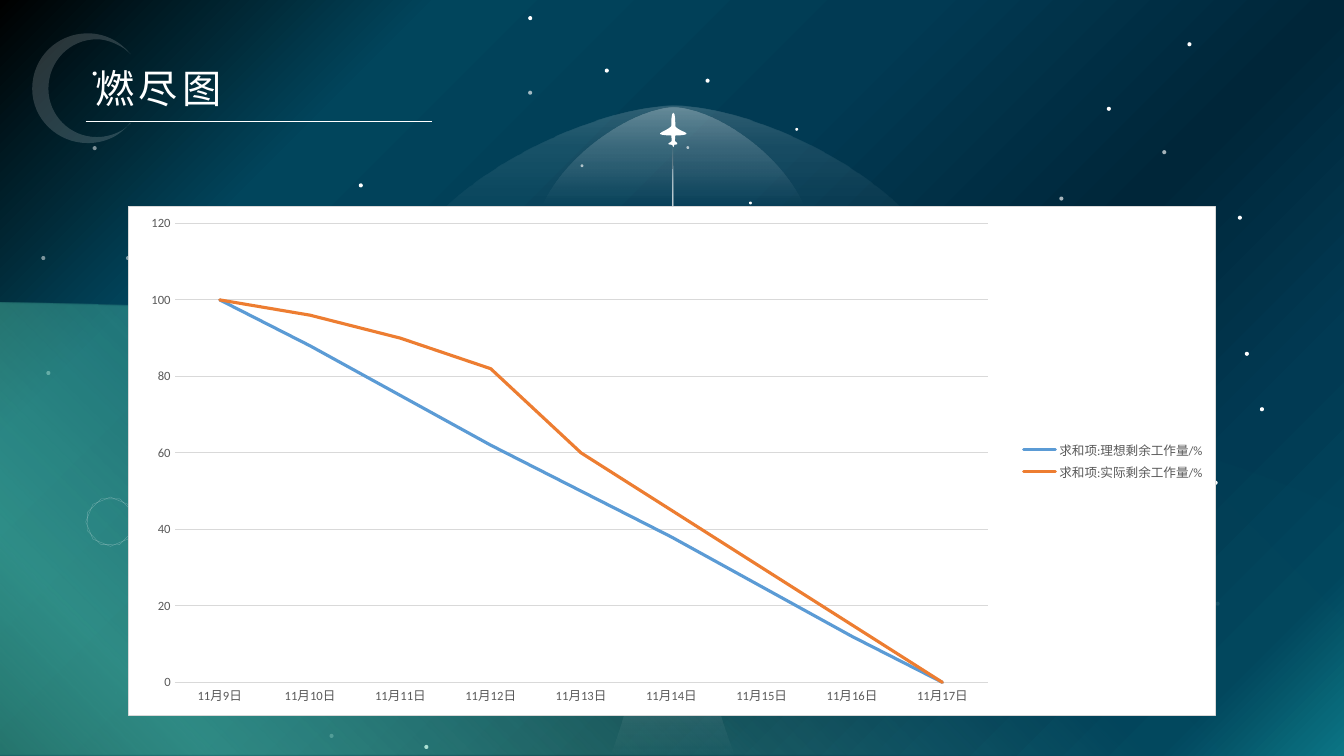
from lxml import etree
from pptx import Presentation
from pptx.chart.data import CategoryChartData
from pptx.dml.color import RGBColor
from pptx.enum.chart import XL_CHART_TYPE, XL_LEGEND_POSITION, XL_TICK_MARK
from pptx.enum.shapes import MSO_CONNECTOR, MSO_SHAPE
from pptx.oxml import parse_xml
from pptx.oxml.ns import nsdecls, qn
from pptx.util import Pt

OVAL, STAR8 = MSO_SHAPE.OVAL, MSO_SHAPE.STAR_8_POINT
STRAIGHT = MSO_CONNECTOR.STRAIGHT
LINE_CHART = XL_CHART_TYPE.LINE
RIGHT, NO_TICK = XL_LEGEND_POSITION.RIGHT, XL_TICK_MARK.NONE
WHITE, GREY, PALE = "FFFFFF", "595959", "D9D9D9"
CJK, LATIN = "Noto Sans CJK SC", "Calibri"
rgb = RGBColor.from_string


def set_gradient(fill, root, stops, direction):
    """Stops are (position %, colour, opacity %)."""
    fill.gradient()
    grad = root.find(".//" + qn("a:gradFill"))
    for child in list(grad):
        grad.remove(child)
    stop_list = etree.SubElement(grad, qn("a:gsLst"))
    for pos, colour, alpha in stops:
        gs = etree.SubElement(stop_list, qn("a:gs"), pos=str(pos * 1000))
        clr = etree.SubElement(gs, qn("a:srgbClr"), val=colour)
        if alpha < 100:
            etree.SubElement(clr, qn("a:alpha"), val=str(alpha * 1000))
    grad.append(parse_xml(direction))


def add_outline(box, start, segments):
    """Segments hold 2 numbers for a line, 6 for a Bezier curve."""
    builder = s.shapes.build_freeform(*start, Pt(1))
    builder.add_line_segments([seg[-2:] for seg in segments], close=True)
    sp = builder.convert_to_shape()
    sp.left, sp.top, sp.width, sp.height = map(Pt, box)
    geometry = sp._element.spPr.find(".//" + qn("a:pathLst"))[0]
    geometry.set("w", str(round(box[2] * 100)))
    geometry.set("h", str(round(box[3] * 100)))
    for step, seg in zip(geometry, [start, *segments]):
        for pt in list(step):
            step.remove(pt)
        if len(seg) == 6:
            step.tag = qn("a:cubicBezTo")
        for x, y in zip(seg[::2], seg[1::2]):
            etree.SubElement(step, qn("a:pt"), x=str(round((x - box[0]) * 100)),
                             y=str(round((y - box[1]) * 100)))
    sp.shadow.inherit = False
    sp.line.fill.background()
    return sp


prs = Presentation()
prs.slide_width, prs.slide_height = Pt(960), Pt(540)
s = prs.slides.add_slide(prs.slide_layouts[6])
faded = []      # (shape, opacity %)

# Night sky
sky = [(0, "0A7485"), (9, "01455C"), (20, "013A53"), (36, "002639"),
       (56, "013A53"), (79, "01455C"), (100, "000000")]
set_gradient(s.background.fill, s._element, [(*stop, 100) for stop in sky],
             f'<a:path {nsdecls("a")} path="circle">'
             '<a:fillToRect l="100000" t="100000"/></a:path>')

# Stars: left, top, diameter, opacity
stars = [
    (377.3, 11.5, 2.9, 100), (377.3, 64.8, 2.9, 64), (432, 49, 2.9, 100),
    (414.7, 117.4, 2, 64), (504, 56.2, 2.9, 100), (535, 144, 2, 100),
    (568.1, 91.4, 2, 100), (490.3, 104.4, 2, 64), (66.2, 51.1, 2.9, 100),
    (66.2, 104.4, 2.9, 49), (256.3, 131, 2.9, 100), (33.1, 265, 2.9, 49),
    (29.5, 182.9, 2.9, 49), (90, 182.9, 2.9, 49), (235.4, 524.2, 2.9, 35),
    (303.1, 532.1, 2.9, 100), (889.2, 251.3, 2.9, 100), (884.2, 154.1, 2.9, 100),
    (868.3, 429.8, 2.9, 8), (756.7, 140.4, 2.9, 65), (790.6, 76.3, 2.9, 100),
    (848.2, 30.2, 2.9, 100), (830.2, 107.3, 2.9, 65), (866.9, 343.4, 2.9, 100),
    (900, 290.9, 2.9, 100)]
for x, y, size, alpha in stars:
    sp = s.shapes.add_shape(OVAL, Pt(x), Pt(y), Pt(size), Pt(size))
    sp.shadow.inherit = False
    sp.fill.solid()
    sp.fill.fore_color.rgb = rgb(WHITE)
    sp.line.fill.background()
    faded.append((sp, alpha))

# Outer dome, inner dome and hill: box, start, segments, stops, angle
scenery = [
    ((278.6, 75.6, 403.9, 167), (278.6, 223.9),
     [(278.6, 142.6, 416.2, 77, 480.2, 75.6), (545, 74.9, 682.6, 142.6, 682.6, 223.9),
      (648.7, 249.1, 311.8, 249.1, 278.6, 223.9)],
     [(0, WHITE, 18), (17, WHITE, 9), (54, WHITE, 0), (100, WHITE, 0)], 90),
    ((380.2, 77, 200.9, 113), (380.2, 177.8),
     [(380.2, 122.4, 448.6, 77.8, 480.2, 77), (512.6, 76.3, 581, 122.4, 581, 177.8),
      (564.5, 194.4, 396.7, 194.4, 380.2, 177.8)],
     [(0, WHITE, 27), (10, WHITE, 21), (61, WHITE, 0), (100, WHITE, 0)], 90),
    ((0, 216, 960, 324), (0, 216),
     [(34.6, 216.7), (431.3, 225.4, 768.2, 279.4, 940.3, 355.7),
      (960, 365), (960, 540), (0, 540)],
     [(0, "4CBDA4", 0), (36, "53C0A8", 2), (62, "51BFA7", 33),
      (88, "4CBDA4", 61), (100, "328875", 73)], 135)]
# Vapour trail
scenery.append((
    (436.3, 102.2, 88.6, 437.8), (436.3, 540),
    [(486.7, 401, 477.4, 251.3, 480.7, 102.2), (483.1, 252, 471.6, 400.3, 524.9, 540)],
    [(0, WHITE, 88), (32, WHITE, 64), (56, WHITE, 43), (79, WHITE, 22), (100, WHITE, 0)], 90))
for box, start, segments, stops, angle in scenery:
    sp = add_outline(box, start, segments)
    set_gradient(sp.fill, sp._element, stops,
                 f'<a:lin {nsdecls("a")} ang="{angle * 60000}" scaled="0"/>')

# Crescent moon, then wings, tail and body of the plane: box, start, segments, opacity
solids = [
    ((23, 23.8, 70.6, 78.4), (62.6, 23.8), [
        (74.9, 23.8, 85.7, 29.5, 92.9, 38.2), (93.6, 38.9), (88.6, 34.6),
        (82.8, 31, 76.3, 28.1, 69.1, 28.1), (49.7, 28.1, 34.6, 43.9, 34.6, 63.4),
        (34.6, 82.1, 49.7, 97.9, 69.1, 97.9), (76.3, 97.9, 82.8, 95.8, 88.6, 92.2),
        (93.6, 87.8), (92.9, 87.8), (85.7, 97.2, 74.9, 102.2, 62.6, 102.2),
        (41, 102.2, 23, 85, 23, 63.4), (23, 41, 41, 23.8, 62.6, 23.8)], 16),
    ((471.6, 87.1, 18.7, 9.8), (471.6, 95.8), [
        (470.2, 94.3, 481, 92.2, 481, 87.1), (481, 92.9, 491.8, 94.3, 490.3, 95.8),
        (488.2, 97.2, 473.8, 97.2, 471.6, 95.8)], 100),
    ((477.4, 98.6, 6.5, 5), (477.4, 103), [
        (476.6, 102.2, 481, 101.5, 481, 98.6), (481, 100.8, 484.6, 102.2, 483.8, 103),
        (483.1, 103.7, 478.1, 103.7, 477.4, 103)], 100),
    ((479.5, 80.6, 2.9, 24.5), (479.5, 92.9), [
        (479.5, 86.4, 479.5, 80.6, 481, 80.6), (482.4, 80.6, 482.4, 86.4, 482.4, 92.9),
        (482.4, 100.1, 481.7, 105.1, 481, 105.1),
        (480.2, 105.1, 479.5, 100.1, 479.5, 92.9)], 100)]
for box, start, segments, alpha in solids:
    sp = add_outline(box, start, segments)
    sp.fill.solid()
    sp.fill.fore_color.rgb = rgb(WHITE)
    faded.append((sp, alpha))

# Title with its rule
tf = s.shapes.add_textbox(Pt(61.2), Pt(42.5), Pt(198.7), Pt(41)).text_frame
tf.word_wrap = True
r = tf.paragraphs[0].add_run()
r.text = "燃尽图"
for key, value in {"size": Pt(28), "name": CJK}.items():
    setattr(r.font, key, value)
r.font.color.rgb = rgb(WHITE)
rPr = r._r.get_or_add_rPr()
rPr.set("spc", "300")
etree.SubElement(rPr, qn("a:ea"), typeface=CJK)
rule = s.shapes.add_connector(STRAIGHT, Pt(61.2), Pt(86.8), Pt(308.9), Pt(86.8))
rule.line.color.rgb = rgb(WHITE)
rule.line.width = Pt(0.5)
etree.SubElement(rule._element.spPr, qn("a:effectLst"))

# Ring of two turned stars
for angle in (0, 338):
    sp = s.shapes.add_shape(STAR8, Pt(61.2), Pt(355), Pt(35.3), Pt(35.3))
    sp.adjustments[0] = 0.46
    sp.rotation = angle
    sp.shadow.inherit = False
    sp.fill.background()
    sp.line.color.rgb = rgb(WHITE)
    sp.line.width = Pt(0.25)
    faded.append((sp, 28))

# Opacity
for sp, alpha in faded:
    if alpha < 100:
        clr = sp._element.spPr.find(".//" + qn("a:srgbClr"))
        etree.SubElement(clr, qn("a:alpha"), val=str(alpha * 1000))

# Burndown chart
data = CategoryChartData()
data.categories = [f"11月{day}日" for day in range(9, 18)]
data.add_series("求和项:理想剩余工作量/%", (100, 88, 75, 62, 50, 38, 25, 12, 0))
data.add_series("求和项:实际剩余工作量/%", (100, 96, 90, 82, 60, 45, 30, 15, 0))
width, height = 776.9, 364.3
chart = s.shapes.add_chart(LINE_CHART, Pt(91.4), Pt(146.9), Pt(width), Pt(height), data).chart
chart.has_title = False
chart.has_legend = True
chart.legend.position = RIGHT
chart.legend.include_in_layout = False
cat, val = chart.category_axis, chart.value_axis
val.minimum_scale, val.maximum_scale, val.major_unit = 0, 120, 20
for axis in (cat, val):
    axis.major_tick_mark = axis.minor_tick_mark = NO_TICK
for font in (chart.font, cat.tick_labels.font, val.tick_labels.font, chart.legend.font):
    for key, value in {"size": Pt(9), "name": LATIN}.items():
        setattr(font, key, value)
    font.color.rgb = rgb(GREY)
for line in (cat.format.line, val.major_gridlines.format.line):
    line.color.rgb = rgb(PALE)
    line.width = Pt(0.75)
val.format.line.fill.background()
for series, colour in zip(chart.plots[0].series, ("5B9BD5", "ED7D31")):
    series.smooth = False
    series.format.line.color.rgb = rgb(colour)
    series.format.line.width = Pt(2.25)
    series._element.spPr.find(qn("a:ln")).set("cap", "rnd")

# Chart panel and plot area
chart._chartSpace.find(qn("c:chart")).addnext(parse_xml(
    f'<c:spPr {nsdecls("c", "a")}><a:solidFill><a:srgbClr val="{WHITE}"/></a:solidFill>'
    f'<a:ln w="{Pt(0.75)}"><a:solidFill><a:srgbClr val="{PALE}"/></a:solidFill></a:ln></c:spPr>'))
plot = chart._chartSpace.find(".//" + qn("c:plotArea"))
for old in plot.findall(qn("c:layout")):
    plot.remove(old)
layout = etree.Element(qn("c:layout"))
manual = etree.SubElement(layout, qn("c:manualLayout"))
for tag, value in {"layoutTarget": "inner", "xMode": "edge", "yMode": "edge",
                   "x": 33 / width, "y": 12.4 / height,
                   "w": 581.3 / width, "h": 328.5 / height}.items():
    etree.SubElement(manual, qn("c:" + tag), val=str(value))
plot.insert(0, layout)

prs.save("out.pptx")
